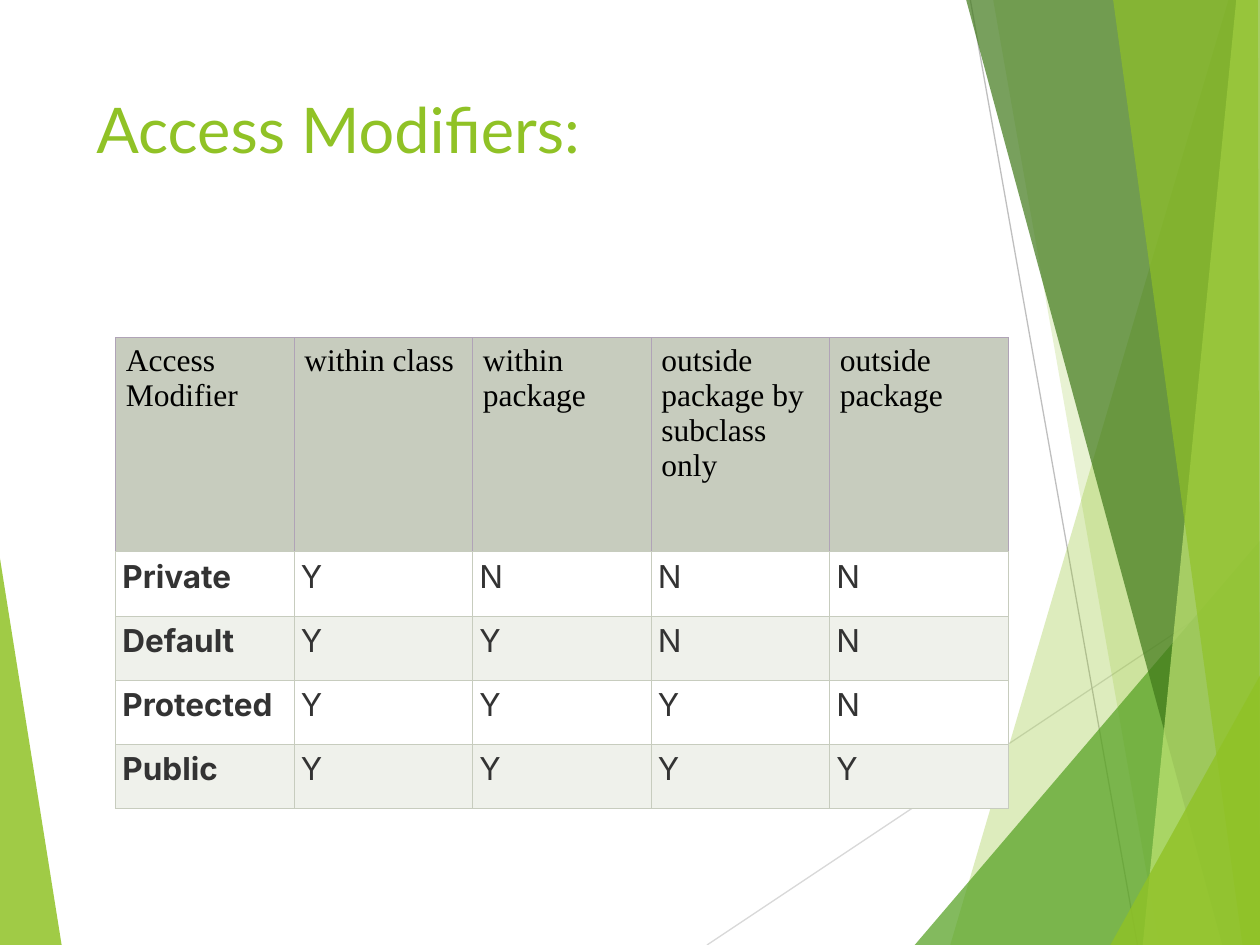
from lxml import etree
from pptx import Presentation
from pptx.dml.color import RGBColor
from pptx.enum.shapes import MSO_CONNECTOR
from pptx.enum.text import MSO_ANCHOR, PP_ALIGN
from pptx.oxml.ns import qn
from pptx.util import Pt

STRAIGHT = MSO_CONNECTOR.STRAIGHT
TOP = MSO_ANCHOR.TOP
LEFT, JUSTIFY = PP_ALIGN.LEFT, PP_ALIGN.JUSTIFY

LIME = RGBColor(0x90, 0xC2, 0x26)
PALE_LIME = RGBColor(0xC0, 0xE4, 0x74)
GREEN = RGBColor(0x54, 0xA0, 0x21)
DARK_GREEN = RGBColor(0x3F, 0x78, 0x19)
LIGHT_GREY = RGBColor(0xD9, 0xD9, 0xD9)
GREY = RGBColor(0xBF, 0xBF, 0xBF)
SAGE = RGBColor(0xC7, 0xCC, 0xBE)
PALE_SAGE = RGBColor(0xEF, 0xF1, 0xEB)
MAUVE = RGBColor(0xB0, 0xA3, 0xB7)
WHITE = RGBColor(0xFF, 0xFF, 0xFF)
BLACK = RGBColor(0, 0, 0)
CHARCOAL = RGBColor(0x33, 0x33, 0x33)

WIDTH, HEIGHT = 720, 540

# Corners in points, colour, opacity in percent; back to front
FACETS = [
    ([(-0.5, 316), (35.3, 540.5), (-0.5, 540)], LIME, 85),
    ([(702, 0), (543, 540), (721, 540), (721, 0)], LIME, 30),
    ([(567.5, -0.5), (662.5, 540), (720.5, 540), (720.5, -0.5)], LIME, 20),
    ([(522.7, 540), (720, 309), (720.5, 540)], GREEN, 72),
    ([(552, -0.5), (698.5, 540), (720.5, 540), (720.5, -0.5)], DARK_GREEN, 70),
    ([(706.5, -0.5), (653, 540), (720.5, 540), (720, -0.5)], PALE_LIME, 70),
    ([(636, -0.5), (710, 540), (720, 540), (718.8, -0.5)], LIME, 65),
    ([(634.5, 540), (720.5, 385.2), (720.5, 540)], LIME, 80),
]

HEADER = ["Access Modifier", "within class", "within package",
          "outside package by subclass only", "outside package"]
ACCESS = [("Private", "YNNN"), ("Default", "YYNN"),
          ("Protected", "YYYN"), ("Public", "YYYY")]


def add_facet(slide, corners, color, opacity):
    points = [(Pt(x), Pt(y)) for x, y in corners]
    builder = slide.shapes.build_freeform(*points[0])
    builder.add_line_segments(points[1:], close=True)
    sp = builder.convert_to_shape()
    sp.shadow.inherit = False
    sp.line.fill.background()
    sp.fill.solid()
    sp.fill.fore_color.rgb = color
    clr = sp.fill._xPr.find(".//" + qn("a:srgbClr"))
    etree.SubElement(clr, qn("a:alpha"), val=str(opacity * 1000))


def add_line(slide, x1, y1, x2, y2, color):
    line = slide.shapes.add_connector(STRAIGHT, Pt(x1), Pt(y1), Pt(x2), Pt(y2))
    line.line.color.rgb = color
    line.line.width = Pt(0.75)
    etree.SubElement(line._element.spPr, qn("a:effectLst"))


def write(tf, text, *, size, font, color, bold=False, align=LEFT):
    p = tf.paragraphs[0]
    p.alignment = align
    r = p.add_run()
    r.text = text
    r.font.size = Pt(size)
    r.font.name = font
    r.font.bold = bold
    r.font.color.rgb = color


def add_title(slide, text):
    box = slide.shapes.add_textbox(Pt(48), Pt(48), Pt(500), Pt(104))
    tf = box.text_frame
    tf.word_wrap = True
    tf.vertical_anchor = TOP
    write(tf, text, size=36, font="Lato", color=LIME)


def set_borders(cell, sides, bottom):
    tc_pr = cell._tc.get_or_add_tcPr()
    for tag, color in (("lnL", sides), ("lnR", sides),
                       ("lnT", sides), ("lnB", bottom)):
        ln = etree.SubElement(tc_pr, qn("a:" + tag), w=str(Pt(0.23)))
        fill = etree.SubElement(ln, qn("a:solidFill"))
        etree.SubElement(fill, qn("a:srgbClr"), val=str(color))


def fill_cell(cell, text, *, fill, sides, inset, **text_format):
    set_borders(cell, sides, SAGE)
    cell.fill.solid()
    cell.fill.fore_color.rgb = fill
    cell.margin_left = cell.margin_right = Pt(inset)
    cell.margin_top = cell.margin_bottom = Pt(3.6)
    cell.vertical_anchor = TOP
    write(cell.text_frame, text, size=18, **text_format)


def add_access_table(slide):
    head_height, row_height, col_width = 122.4, 36.7, 102
    n_rows, n_cols = len(ACCESS) + 1, len(HEADER)
    frame = slide.shapes.add_table(
        n_rows, n_cols, Pt(66), Pt(192.8), Pt(col_width * n_cols),
        Pt(head_height + row_height * len(ACCESS)))
    table = frame.table
    table.first_row = table.horz_banding = False
    for column in table.columns:
        column.width = Pt(col_width)
    for i, row in enumerate(table.rows):
        row.height = Pt(row_height if i else head_height)

    # Header row
    for j, text in enumerate(HEADER):
        fill_cell(table.cell(0, j), text, fill=SAGE, sides=MAUVE, inset=6,
                  font="Times New Roman", color=BLACK)

    # One row for each modifier, banded
    for i, (modifier, flags) in enumerate(ACCESS, start=1):
        for j, text in enumerate([modifier, *flags]):
            fill_cell(table.cell(i, j), text, fill=WHITE if i % 2 else PALE_SAGE,
                      sides=SAGE, inset=4, font="Inter", color=CHARCOAL,
                      bold=j == 0, align=JUSTIFY)


def main():
    prs = Presentation()
    prs.slide_width, prs.slide_height = Pt(WIDTH), Pt(HEIGHT)
    s = prs.slides.add_slide(prs.slide_layouts[6])

    # Background decoration: the left facet, two thin lines, the right facets
    add_facet(s, *FACETS[0])
    add_line(s, 404, HEIGHT, 720.5, 329, LIGHT_GREY)
    add_line(s, 554.5, 0, 650, HEIGHT, GREY)
    for facet in FACETS[1:]:
        add_facet(s, *facet)

    # Content
    add_title(s, "Access Modifiers:")
    add_access_table(s)
    prs.save("out.pptx")


if __name__ == "__main__":
    main()
